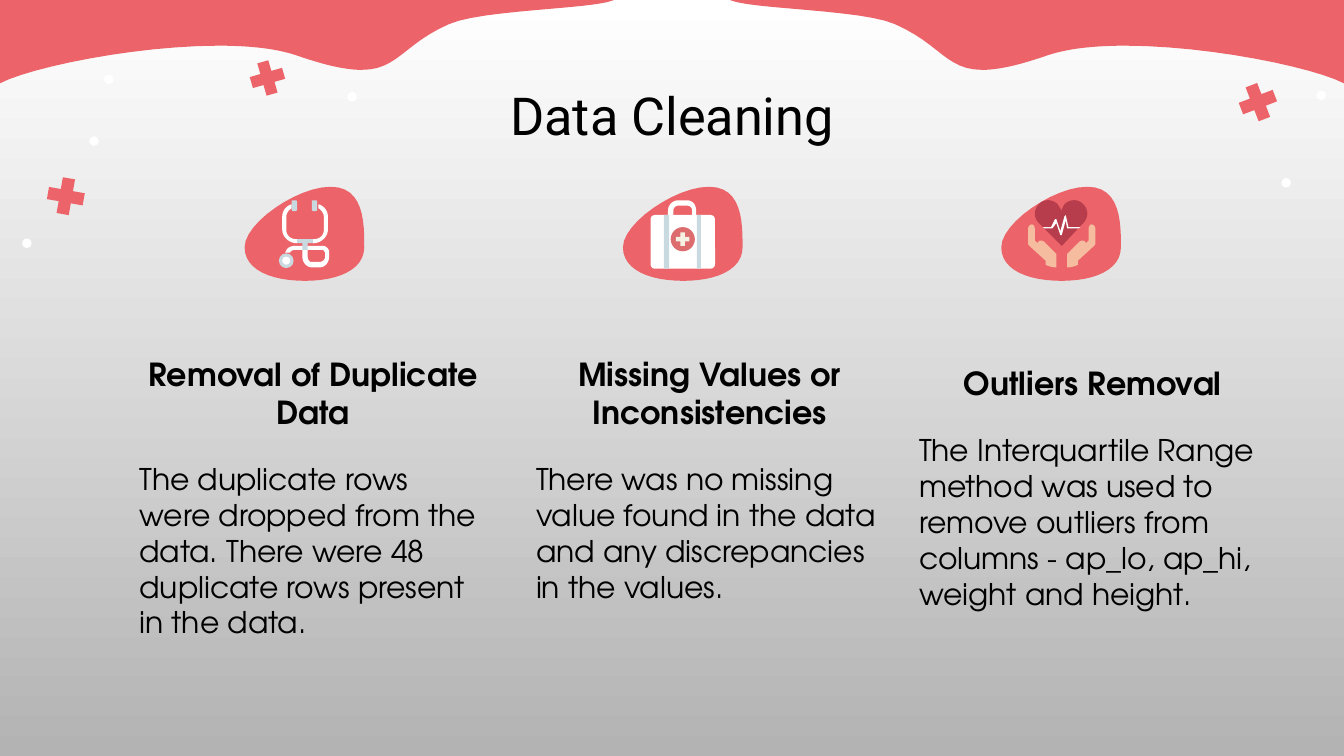
import dataclasses

import pptx
import pptx.dml.color
import pptx.enum.shapes
import pptx.enum.text
import pptx.util

Inches = pptx.util.Inches
Pt = pptx.util.Pt
RGBColor = pptx.dml.color.RGBColor
Preset = pptx.enum.shapes.MSO_SHAPE
Align = pptx.enum.text.PP_ALIGN
Anchor = pptx.enum.text.MSO_ANCHOR


@dataclasses.dataclass(frozen=True)
class Theme:
    coral: RGBColor = RGBColor.from_string("EC6469")
    white: RGBColor = RGBColor.from_string("FFFFFF")
    grey: RGBColor = RGBColor.from_string("B3B3B3")
    steel: RGBColor = RGBColor.from_string("C9D9E0")
    badge: RGBColor = RGBColor.from_string("DC6C6D")
    cream: RGBColor = RGBColor.from_string("F5F1E3")
    skin: RGBColor = RGBColor.from_string("F6BC9F")
    heart: RGBColor = RGBColor.from_string("B73D4C")
    text: RGBColor = RGBColor.from_string("000000")
    title_font: str = "Roboto"
    body_font: str = "TeX Gyre Adventor"
    title_size: Pt = Pt(28)
    heading_size: Pt = Pt(17)
    body_size: Pt = Pt(16)


theme = Theme()


def paint(shape, colour):
    shape.shadow.inherit = False
    shape.fill.solid()
    shape.fill.fore_color.rgb = colour
    shape.line.fill.background()


def draw_outline(contours, colour, shift=0, mirror=None):
    """Fill closed contours; two numbers are a line's end, six a Bezier segment.

    mirror is the x of a vertical axis to reflect the contours about.
    """
    builder = None
    for start, *segments in contours:
        points = [start]
        for segment in segments:
            if len(segment) == 2:
                points.append(segment)
                continue
            x0, y0 = points[-1]
            x1, y1, x2, y2, x3, y3 = segment
            for step in range(1, 13):
                t = step / 12
                a, b, c, d = (1 - t) ** 3, 3 * t * (1 - t) ** 2, 3 * t * t * (1 - t), t ** 3
                points.append((a * x0 + b * x1 + c * x2 + d * x3,
                               a * y0 + b * y1 + c * y2 + d * y3))
        if mirror is not None:
            points = [(2 * mirror - x, y) for x, y in points]
        points = [(Inches(x + shift), Inches(y)) for x, y in points]
        if builder is None:
            builder = slide.shapes.build_freeform(*points[0], scale=1.0)
        else:
            builder.move_to(*points[0])
        builder.add_line_segments(points[1:], close=True)
    paint(builder.convert_to_shape(), colour)


presentation = pptx.Presentation()
presentation.slide_width = Inches(10)
presentation.slide_height = presentation.slide_width * 9 // 16
slide = presentation.slides.add_slide(presentation.slide_layouts[5])

background = slide.background.fill
background.gradient()
background.gradient_angle = 270
for stop, colour in zip(background.gradient_stops, (theme.white, theme.grey)):
    stop.color.rgb = colour

# Wavy band at the top, one half on each side
wave = [(10, 0), (10, 0.62), (9.77, 0.5, 8.99, 0.34, 8.37, 0.34),
        (8.15, 0.34, 7.95, 0.36, 7.8, 0.41), (7.57, 0.49, 7.42, 0.52, 7.31, 0.52),
        (7.04, 0.52, 7, 0.33, 6.66, 0.18), (6.41, 0.07, 5.59, 0.07, 5.43, 0)]
for mirror in (None, 5):
    draw_outline([wave], theme.coral, mirror=mirror)

# Blobs behind the three icons
blob = [(2.46, 1.39), (2.21, 1.39, 1.82, 1.66, 1.82, 1.84),
        (1.82, 2.01, 2.02, 2.09, 2.27, 2.09), (2.51, 2.09, 2.71, 2.01, 2.71, 1.84),
        (2.71, 1.66, 2.71, 1.39, 2.46, 1.39)]
for column in range(3):
    draw_outline([blob], theme.coral, shift=2.815 * column)

# Stethoscope
tube = [(2.17, 1.52), (2.13, 1.53, 2.1, 1.57, 2.1, 1.61), (2.1, 1.71),
        (2.1, 1.76, 2.15, 1.81, 2.21, 1.81), (2.21, 1.78),
        (2.16, 1.78, 2.13, 1.75, 2.13, 1.71), (2.13, 1.61),
        (2.13, 1.59, 2.15, 1.56, 2.17, 1.55)]
for mirror in (None, 2.27):
    draw_outline([tube], theme.white, mirror=mirror)
loop_hole = [(2.4, 1.86), (2.41, 1.86, 2.41, 1.87, 2.42, 1.88), (2.42, 1.91),
             (2.42, 1.93, 2.4, 1.95, 2.38, 1.95), (2.32, 1.95),
             (2.3, 1.95, 2.29, 1.93, 2.29, 1.91), (2.29, 1.86)]
loop = [(2.19, 1.83), (2.19, 1.83, 2.16, 1.83, 2.14, 1.85),
        (2.13, 1.86, 2.13, 1.87, 2.12, 1.88), (2.16, 1.88),
        (2.16, 1.87, 2.18, 1.86, 2.19, 1.86), (2.25, 1.86), (2.25, 1.91),
        (2.25, 1.95, 2.28, 1.99, 2.32, 1.99), (2.38, 1.99),
        (2.42, 1.99, 2.45, 1.95, 2.45, 1.91), (2.45, 1.87),
        (2.44, 1.84, 2.42, 1.83, 2.4, 1.83)]
draw_outline([loop_hole, loop], theme.white)
draw_outline([[(2.21, 1.78), (2.21, 1.81), (2.25, 1.81), (2.25, 1.86),
               (2.29, 1.86), (2.29, 1.81), (2.33, 1.81), (2.33, 1.78)]], theme.steel)

# Handle of the first-aid case
draw_outline([[(5.05, 1.49), (5.01, 1.49, 4.97, 1.52, 4.97, 1.57), (4.97, 1.6),
               (5.01, 1.6), (5.01, 1.57), (5.01, 1.54, 5.03, 1.53, 5.05, 1.53),
               (5.11, 1.53), (5.13, 1.53, 5.15, 1.54, 5.15, 1.57), (5.15, 1.6),
               (5.18, 1.6), (5.18, 1.57), (5.18, 1.52, 5.15, 1.49, 5.11, 1.49)]],
             theme.white)

# Hands holding a heart
hand = [(7.68, 1.67), (7.66, 1.67, 7.65, 1.69, 7.65, 1.7), (7.65, 1.8),
        (7.65, 1.82, 7.65, 1.82, 7.66, 1.83), (7.78, 1.94), (7.78, 1.97),
        (7.8, 1.98, 7.83, 1.99, 7.86, 1.99), (7.86, 1.89), (7.85, 1.88),
        (7.77, 1.8), (7.76, 1.79, 7.73, 1.78, 7.72, 1.81), (7.7, 1.79),
        (7.7, 1.7), (7.7, 1.69, 7.69, 1.67, 7.68, 1.67)]
for mirror in (None, 7.9):
    draw_outline([hand], theme.skin, mirror=mirror)
draw_outline([[(7.9, 1.57), (7.89, 1.55, 7.88, 1.54, 7.87, 1.52),
               (7.85, 1.5, 7.82, 1.49, 7.8, 1.49), (7.77, 1.49, 7.75, 1.5, 7.73, 1.52),
               (7.69, 1.56, 7.69, 1.62, 7.73, 1.66), (7.9, 1.83), (8.06, 1.66),
               (8.1, 1.62, 8.1, 1.56, 8.06, 1.52), (8.04, 1.5, 8.02, 1.49, 7.99, 1.49),
               (7.97, 1.49, 7.94, 1.5, 7.92, 1.52), (7.91, 1.54, 7.9, 1.55, 7.9, 1.57)]],
             theme.heart)
draw_outline([[(7.93, 1.6), (7.92, 1.61), (7.89, 1.72), (7.86, 1.63), (7.85, 1.63),
               (7.82, 1.69), (7.76, 1.69), (7.77, 1.7), (7.83, 1.7), (7.86, 1.66),
               (7.89, 1.75), (7.9, 1.75), (7.93, 1.64), (7.94, 1.7), (8.02, 1.7),
               (8.04, 1.69), (7.95, 1.69)]], theme.white)

# Preset shapes: kind, centre x, centre y, width, height, colour, rotation, adjustment
presets = [
    (Preset.CROSS, 0.49, 1.46, 0.27, 0.27, theme.coral, 10, 0.33),
    (Preset.CROSS, 1.99, 0.58, 0.25, 0.25, theme.coral, -16, 0.33),
    (Preset.CROSS, 9.36, 0.76, 0.27, 0.27, theme.coral, -21, 0.33),
    (Preset.ROUNDED_RECTANGLE, 2.19, 1.53, 0.04, 0.08, theme.steel, 0, 0.25),
    (Preset.ROUNDED_RECTANGLE, 2.34, 1.53, 0.04, 0.08, theme.steel, 0, 0.25),
    (Preset.OVAL, 2.13, 1.94, 0.11, 0.11, theme.steel, 0, None),
    (Preset.OVAL, 2.13, 1.94, 0.06, 0.06, theme.white, 0, None),
    (Preset.ROUNDED_RECTANGLE, 5.08, 1.8, 0.48, 0.4, theme.white, 0, 0.08),
    (Preset.RECTANGLE, 4.96, 1.8, 0.04, 0.4, theme.steel, 0, None),
    (Preset.RECTANGLE, 5.2, 1.8, 0.03, 0.4, theme.steel, 0, None),
    (Preset.OVAL, 5.08, 1.78, 0.18, 0.18, theme.badge, 0, None),
    (Preset.CROSS, 5.08, 1.78, 0.1, 0.1, theme.cream, 0, 0.33),
]
dot_centres = [(0.2, 1.81), (0.7, 1.05), (0.81, 0.59), (2.62, 0.72),
               (9.57, 1.36), (9.83, 0.71)]
presets += [(Preset.OVAL, x, y, 0.07, 0.07, theme.white, 0, None) for x, y in dot_centres]
for kind, x, y, width, height, colour, rotation, adjustment in presets:
    shape = slide.shapes.add_shape(kind, Inches(x - width / 2), Inches(y - height / 2),
                                   Inches(width), Inches(height))
    paint(shape, colour)
    shape.rotation = rotation
    if adjustment is not None:
        shape.adjustments[0] = adjustment

title = slide.shapes.title
title.left, title.top, title.width, title.height = map(Inches, (0.78, 0.59, 8.44, 0.52))
title.text_frame.text = "Data Cleaning"
title.text_frame.vertical_anchor = Anchor.MIDDLE
paragraph = title.text_frame.paragraphs[0]
paragraph.alignment = Align.CENTER
paragraph.font.name = theme.title_font
paragraph.font.size = theme.title_size
paragraph.font.color.rgb = theme.text

columns = [
    (0.94, 2.54, "Removal of Duplicate Data",
     "The duplicate rows were dropped from the data. There were 48 duplicate rows present in the data."),
    (3.89, 2.54, "Missing Values or Inconsistencies",
     "There was no missing value found in the data and any discrepancies in the values."),
    (6.74, 2.61, "Outliers Removal",
     "The Interquartile Range method was used to remove outliers from columns - ap_lo, ap_hi, weight and height."),
]
for left, top, heading, body in columns:
    text_box = slide.shapes.add_textbox(Inches(left), Inches(top), Inches(2.78), Inches(2.71))
    frame = text_box.text_frame
    frame.word_wrap = True
    frame.margin_left = frame.margin_right = Inches(0.1)
    frame.margin_top = frame.margin_bottom = Inches(0.1)
    frame.text = f"{heading}\n{body}"
    for paragraph in frame.paragraphs:
        paragraph.font.name = theme.body_font
        paragraph.font.color.rgb = theme.text
    heading_paragraph, body_paragraph = frame.paragraphs
    heading_paragraph.alignment = Align.CENTER
    heading_paragraph.font.size = theme.heading_size
    heading_paragraph.font.bold = True
    body_paragraph.alignment = Align.LEFT
    body_paragraph.font.size = theme.body_size
    body_paragraph.space_before = Pt(16)

presentation.save("out.pptx")
